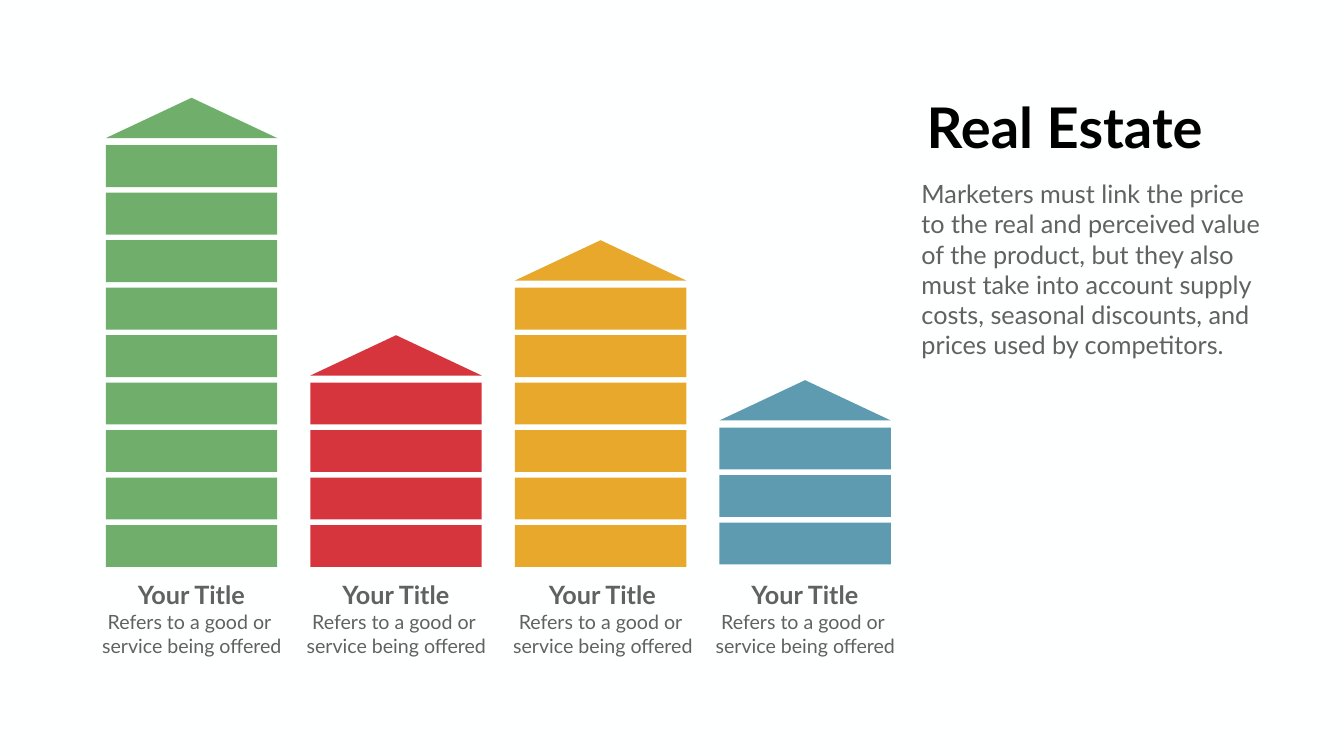
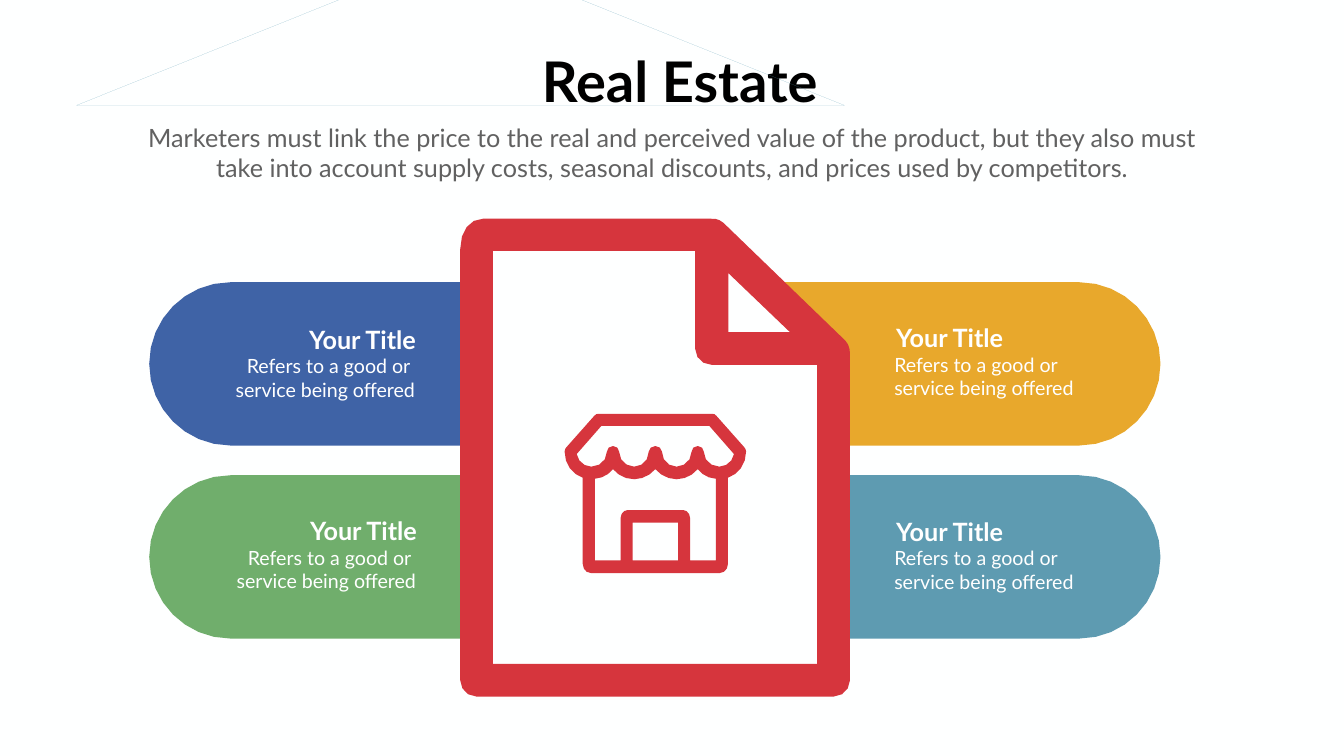
"""Build two real-estate infographic slides."""
import math
from dataclasses import dataclass

from pptx import Presentation
from pptx import util as u
from pptx.dml.color import RGBColor
from pptx.enum import shapes, text


@dataclass(frozen=True)
class Theme:
    """Colours, font and type sizes shared by the slides."""
    background: str = "FEFFFF"
    ink: str = "000000"
    grey: str = "616161"
    white: str = "FFFFFF"
    green: str = "70AE6C"
    red: str = "D6353D"
    amber: str = "E8A82C"
    teal: str = "5E9BB1"
    blue: str = "3F63A6"
    roofline: str = "579AB2"
    font: str = "Lato"
    title_size: int = 80
    body_size: int = 36
    caption_size: int = 28


THEME = Theme()
LEFT, CENTER, RIGHT = text.PP_ALIGN.LEFT, text.PP_ALIGN.CENTER, text.PP_ALIGN.RIGHT
TITLE = "Real Estate "
INTRO = ("Marketers must link the price to the real and perceived value of the product, "
         "but they also must take into account supply costs, seasonal discounts, "
         "and prices used by competitors.")
HEADING = "Your Title"
CAPTION = ("Refers to a good or ", "service being offered")
CAPTION_LEFT = ("Refers to a good or", "service being offered")

TOWER_WIDTH, FLOOR_HEIGHT, ROOF_HEIGHT = 3.4, 0.83, 0.8
FLOOR_PITCH = 8.48 / 9
TOWER_PITCH = 12.17 / 3
PILL_WIDTH = 10.03
SHOP_WIDTH = 3.6

PILL = [(0.22, 3.24), (0.1, 3.24, 0, 3.13, 0, 3.02), (0, 0.22), (0, 0.1, 0.1, 0, 0.22, 0),
        (8.42, 0), (9.31, 0, 10.03, 0.73, 10.03, 1.62), (10.03, 2.51, 9.31, 3.24, 8.42, 3.24)]
PAPER = [(0.36, 0.41), (0.36, 9.25), (7.45, 9.25), (7.45, 2.74), (5.22, 0.09)]
DOCUMENT_EDGE = [(7.73, 2.67), (7.73, 2.59, 7.7, 2.49, 7.64, 2.43), (5.22, 0.09),
                 (5.15, 0.03, 5.06, 0, 4.98, 0.01), (0.45, 0.01),
                 (0.19, 0.01, 0, 0.25, 0, 0.61), (0, 9.17),
                 (0, 9.34, 0.14, 9.49, 0.32, 9.49), (7.41, 9.49),
                 (7.59, 9.49, 7.73, 9.34, 7.73, 9.17)]
DOCUMENT_FOLD = [(5.32, 2.26), (5.32, 1.09), (6.54, 2.26)]
DOCUMENT_INSIDE = [(0.65, 8.84), (0.65, 0.65), (4.66, 0.65), (4.66, 2.59),
                   (4.66, 2.77, 4.81, 2.91, 4.99, 2.91), (7.08, 2.91), (7.08, 8.84)]
SHOP_EDGE = [(0.68, 0), (0.64, 0, 0.61, 0.01, 0.59, 0.04), (0.04, 0.66),
             (0.02, 0.68, 0, 0.71, 0, 0.75), (0, 1, 0.15, 1.2, 0.36, 1.27), (0.36, 2.98),
             (0.36, 3.08, 0.43, 3.16, 0.52, 3.16)]
SHOP_DOOR = [(1.35, 2.91), (1.35, 2.16)]
SHOP_WALL = [(1.25, 1.91), (1.18, 1.91, 1.11, 1.98, 1.11, 2.07), (1.11, 2.91), (0.6, 2.91),
             (0.6, 1.29), (0.75, 1.28, 0.87, 1.21, 0.96, 1.1),
             (1.06, 1.22, 1.21, 1.3, 1.38, 1.3), (1.54, 1.3, 1.7, 1.22, 1.8, 1.1)]
SHOP_AWNING = [(0.73, 0.24), (0.24, 0.8), (0.26, 0.94, 0.39, 1.05, 0.53, 1.05),
               (0.7, 1.05, 0.84, 0.92, 0.84, 0.75), (0.84, 0.69, 0.89, 0.64, 0.96, 0.64),
               (1.03, 0.64, 1.08, 0.69, 1.08, 0.75), (1.08, 0.92, 1.22, 1.05, 1.38, 1.05),
               (1.54, 1.05, 1.67, 0.92, 1.67, 0.75), (1.67, 0.69, 1.73, 0.64, 1.8, 0.64)]


def paint(shape, color):
    """Give a shape a plain fill with no outline or shadow."""
    shape.shadow.inherit = False
    shape.fill.solid()
    shape.fill.fore_color.rgb = RGBColor.from_string(color)
    shape.line.fill.background()


def write(box, *lines, size, color, bold=False, align=LEFT):
    """Fill a text box with one formatted paragraph per line."""
    frame = box.text_frame
    frame.word_wrap = True
    frame.auto_size = text.MSO_AUTO_SIZE.NONE
    frame.vertical_anchor = text.MSO_ANCHOR.TOP
    frame.margin_left = frame.margin_right = u.Inches(0.1)
    frame.margin_top = frame.margin_bottom = u.Inches(0.05)
    for index, line in enumerate(lines):
        para = frame.add_paragraph() if index else frame.paragraphs[0]
        para.alignment = align
        span = para.add_run()
        span.text = line
        span.font.name = THEME.font
        span.font.size = u.Pt(size)
        span.font.bold = bold
        span.font.color.rgb = RGBColor.from_string(color)


def add_text(page, area, *lines, **style):
    """Add a text box over an area given in inches."""
    write(page.shapes.add_textbox(*map(u.Inches, area)), *lines, **style)


def add_block(page, kind, area, color):
    """Add a filled preset shape over an area given in inches."""
    paint(page.shapes.add_shape(kind, *map(u.Inches, area)), color)


def flatten(contour):
    """Turn points and Bezier curves into points, with few on short curves."""
    points = []
    for part in contour:
        if len(part) == 2:
            points.append(part)
            continue
        nodes = [points[-1], part[:2], part[2:4], part[4:]]
        steps = 2 + round(2.5 * math.dist(nodes[0], nodes[3]))
        for step in range(1, steps + 1):
            t = step / steps
            weights = ((1 - t) ** 3, 3 * t * (1 - t) ** 2, 3 * t * t * (1 - t), t ** 3)
            points.append(tuple(sum(w * node[axis] for w, node in zip(weights, nodes))
                                for axis in (0, 1)))
    return points


def mirror(points, width):
    """Flip points from left to right within a width."""
    return [(width - x, y) for x, y in points]


def add_outline(page, left, top, contours, color, close=True):
    """Add a filled freeform whose later contours cut holes in the first."""
    placed = [[(u.Inches(left + x), u.Inches(top + y)) for x, y in points]
              for points in contours]
    builder = page.shapes.build_freeform(*placed[0][0])
    for index, points in enumerate(placed):
        if index:
            builder.move_to(*points[0])
        builder.add_line_segments(points[1:], close=close)
    paint(builder.convert_to_shape(), color)


def add_page(deck, title_area, intro_area, align):
    """Add a title-only slide with its title and introduction."""
    page = deck.slides.add_slide(deck.slide_layouts[5])
    title = page.shapes.title
    title.left, title.top, title.width, title.height = map(u.Inches, title_area)
    write(title, TITLE, size=THEME.title_size, color=THEME.ink, bold=True, align=CENTER)
    add_text(page, intro_area, INTRO, size=THEME.body_size, color=THEME.grey, align=align)
    return page


def add_label(page, heading_area, caption_area, color, align):
    """Add a bold heading and its two-line caption."""
    caption = CAPTION_LEFT if align == LEFT else CAPTION
    add_text(page, heading_area, HEADING, size=THEME.body_size, color=color, bold=True,
             align=align)
    add_text(page, caption_area, *caption, size=THEME.caption_size, color=color, align=align)


def add_tower(page, left, ground, floors, color, label_shift):
    """Stack equal floors upward from the ground and cap them with a roof."""
    for level in range(floors):
        add_block(page, shapes.MSO_SHAPE.RECTANGLE,
                  (left, ground - level * FLOOR_PITCH, TOWER_WIDTH, FLOOR_HEIGHT), color)
    add_block(page, shapes.MSO_SHAPE.ISOSCELES_TRIANGLE,
              (left, ground - floors * FLOOR_PITCH, TOWER_WIDTH, ROOF_HEIGHT), color)
    label_left = left + label_shift
    add_label(page, (label_left + 0.45, 11.45, 2.49, 0.51),
              (label_left - 0.21, 12.06, 3.83, 1.06), THEME.grey, CENTER)


def add_pill(page, left, top, color, flipped, label_shift):
    """Add a round-ended band with its label, flipped on the left side."""
    points = flatten(PILL)
    if flipped:
        points = mirror(points, PILL_WIDTH)
    add_outline(page, left, top, [points], color)
    heading_x, caption_x, align = (2.85, 1.45, RIGHT) if flipped else (4.69, 4.65, LEFT)
    label_left, label_top = left + label_shift[0], top + label_shift[1]
    add_label(page, (label_left + heading_x, label_top + 0.75, 2.54, 0.51),
              (label_left + caption_x, label_top + 1.35, 3.92, 1.01), THEME.white, align)


def add_document(page, left, top):
    """Draw the sheet with its folded corner."""
    add_outline(page, left, top, [PAPER], THEME.background)
    contours = [flatten(part) for part in (DOCUMENT_EDGE, DOCUMENT_FOLD, DOCUMENT_INSIDE)]
    add_outline(page, left, top, contours, THEME.red)


def add_shop(page, left, top):
    """Draw the symmetric shop icon from its left halves."""
    halves = [flatten(part) for part in (SHOP_EDGE, SHOP_DOOR, SHOP_WALL, SHOP_AWNING)]
    contours = [half + mirror(half[::-1], SHOP_WIDTH) for half in halves]
    add_outline(page, left, top, contours, THEME.red)


def add_roofline(page, left, top):
    """Trace the faint triangle twice so that only its edge shows."""
    apex, west, east = (7.61, 0), (0, 3.06), (15.23, 3.06)
    add_outline(page, left, top, [[apex, west, east] * 2 + [apex]], THEME.roofline, close=False)


def build_towers(deck):
    """Build the slide that compares four towers."""
    page = add_page(deck, (18.19, 1.78, 5.86, 1.45), (18.18, 3.49, 7.01, 3.65), LEFT)
    towers = [(9, THEME.green, 10.42, 0), (4, THEME.red, 10.42, 0),
              (6, THEME.amber, 10.42, 0.04), (3, THEME.teal, 10.37, 0)]
    for column, (floors, color, ground, label_shift) in enumerate(towers):
        add_tower(page, 2.1 + column * TOWER_PITCH, ground, floors, color, label_shift)


def build_document(deck):
    """Build the slide with a document between four labelled bands."""
    page = add_page(deck, (10.55, 0.88, 5.87, 1.45), (2.68, 2.37, 21.3, 1.31), CENTER)
    add_roofline(page, 1.52, -0.97)
    pills = [(12.99, 5.6, THEME.amber, False, (0, 0)),
             (12.99, 9.43, THEME.teal, False, (0, 0.01)),
             (2.96, 5.6, THEME.blue, True, (0, 0.03)),
             (2.96, 9.43, THEME.green, True, (0.02, 0))]
    for pill in pills:
        add_pill(page, *pill)
    add_document(page, 9.13, 4.33)
    add_shop(page, 11.2, 8.21)


def main():
    """Build and save the deck."""
    deck = Presentation()
    deck.slide_width, deck.slide_height = u.Inches(26.66), u.Inches(15)
    backdrop = deck.slide_master.background.fill
    backdrop.solid()
    backdrop.fore_color.rgb = RGBColor.from_string(THEME.background)
    build_towers(deck)
    build_document(deck)
    deck.save("out.pptx")


if __name__ == "__main__":
    main()
